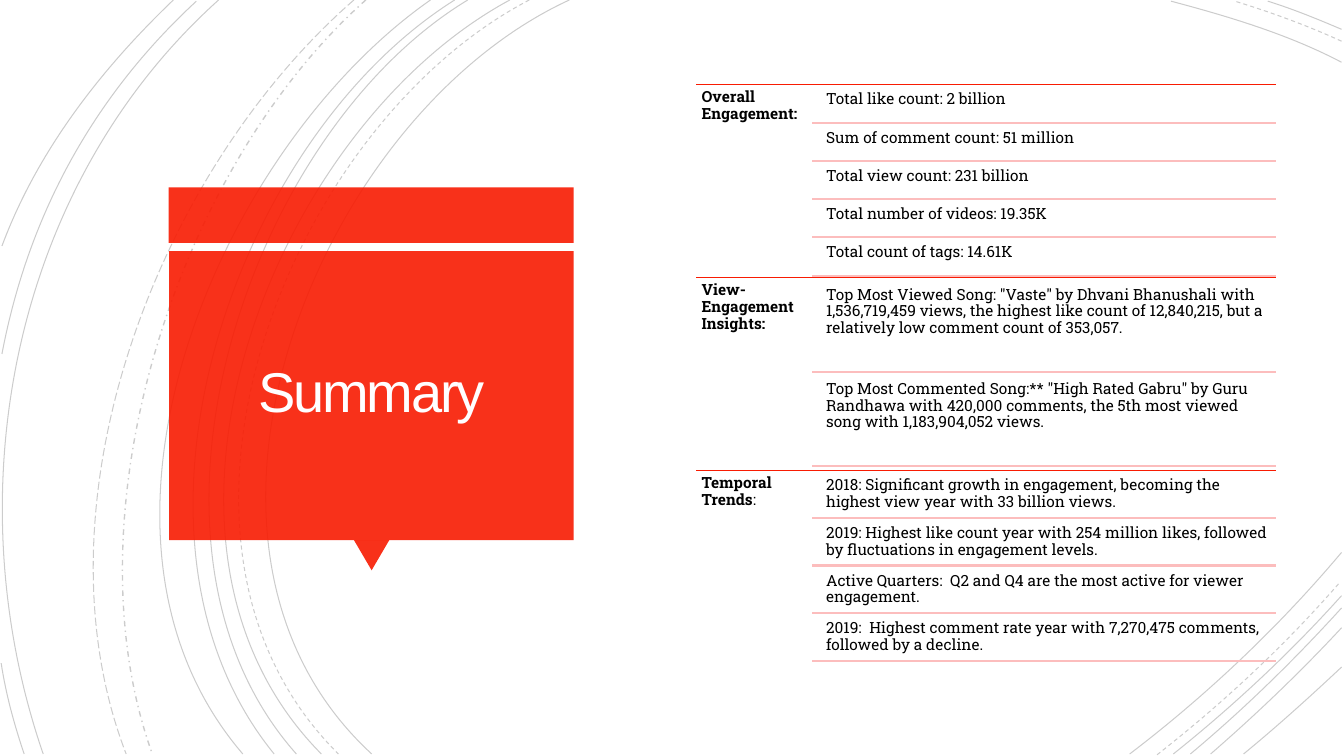
from dataclasses import dataclass

import lxml.etree
import pptx
import pptx.dml.color
import pptx.enum.dml
import pptx.enum.shapes
import pptx.enum.text
import pptx.oxml.ns
import pptx.util
from pptx.util import Cm, Pt

RED = pptx.dml.color.RGBColor(0xF8, 0x1B, 0x02)
PINK = pptx.dml.color.RGBColor(0xFC, 0xBD, 0xBD)
BLACK = pptx.dml.color.RGBColor(0x00, 0x00, 0x00)
WHITE = pptx.dml.color.RGBColor(0xFF, 0xFF, 0xFF)
OFF_WHITE = pptx.dml.color.RGBColor(0xFF, 0xFE, 0xFF)
BODY_FONT = "Roboto Slab"
TITLE_FONT = "Arial"

DASH = pptx.enum.dml.MSO_LINE.DASH
LONG_DASH = pptx.enum.dml.MSO_LINE.LONG_DASH
DASH_DOT = pptx.enum.dml.MSO_LINE.DASH_DOT
RECTANGLE = pptx.enum.shapes.MSO_SHAPE.RECTANGLE
TRIANGLE = pptx.enum.shapes.MSO_SHAPE.ISOSCELES_TRIANGLE

# Slide and summary list geometry, in centimetres
SLIDE_WIDTH, SLIDE_HEIGHT = 33.87, 19.05
LIST_LEFT, LIST_RIGHT, LIST_TOP = 17.55, 32.16, 2.13
SECTION_HEIGHT = 4.86
LABEL_WIDTH = 2.92
ROW_INDENT = 0.22
ROW_GAP = 0.05  # share of the row height


@dataclass
class Arc:
    """A cubic curve: start, two control points and end, in centimetres."""
    points: tuple[tuple[float, float], ...]
    dash: pptx.enum.dml.MSO_LINE | None = None
    weight: float = 0.75


@dataclass
class Panel:
    preset: pptx.enum.shapes.MSO_SHAPE
    left: float
    top: float
    width: float
    height: float
    rotation: float = 0
    colour: pptx.dml.color.RGBColor = RED
    opacity: int = 90


@dataclass
class Run:
    text: str
    bold: bool = False


@dataclass
class Section:
    label: list[Run]
    rows: list[str]


ARCS = [
    # Left-hand sweep
    Arc(((14.35, 0), (8, 2.92), (3.63, 13.72), (9.37, 19))),
    Arc(((13.34, 0), (7.24, 3.18), (3.12, 13.64), (8.53, 19)), DASH),
    Arc(((12.85, 0), (6.86, 3.23), (2.79, 13.64), (8.1, 19))),
    Arc(((11.79, 0), (6.2, 3.38), (2.79, 13.74), (7.47, 19))),
    Arc(((11.46, 0), (5.87, 3.51), (2.46, 13.54), (6.91, 19))),
    Arc(((10.85, 0), (5.51, 3.73), (1.35, 13.44), (6.12, 19))),
    Arc(((9.22, 0), (4.47, 4.22), (1.65, 12.93), (3.84, 19)), DASH_DOT, 1),
    Arc(((8.92, 0), (3.99, 4.29), (0.74, 12.67), (3.18, 19)), LONG_DASH),
    Arc(((5.51, 0), (0.28, 4.7), (-1.17, 12.45), (1.09, 19))),
    Arc(((4.95, 0.03), (2.34, 2.44), (0.71, 5.44), (0.05, 8.92))),
    Arc(((0.03, 16.71), (0.15, 17.5), (0.36, 18.26), (0.61, 19))),
    Arc(((4.37, 0), (2.54, 1.75), (0.94, 3.81), (0.05, 6.2))),
    # Top right corner
    Arc(((33.81, 1.57), (32.46, 0.86), (30.94, 0.41), (29.51, 0.03))),
    Arc(((33.81, 1.04), (32.94, 0.64), (32, 0.3), (31.12, 0.03)), DASH),
    Arc(((33.81, 0.74), (33.2, 0.48), (32.59, 0.23), (31.95, 0.03))),
    # Bottom right corner
    Arc(((28.47, 19), (30.4, 17.53), (32.23, 15.8), (33.81, 13.92))),
    Arc(((29.16, 19.02), (30.81, 17.73), (32.39, 16.26), (33.78, 14.66)), DASH),
    Arc(((29.57, 19), (31.06, 17.81), (32.51, 16.46), (33.81, 15.01))),
    Arc(((30, 19), (31.34, 17.88), (32.61, 16.64), (33.81, 15.32))),
    Arc(((30.51, 19), (31.65, 18.01), (32.77, 16.94), (33.81, 15.82))),
    Arc(((31.34, 19), (32.18, 18.31), (32.99, 17.58), (33.81, 16.81))),
]

BACKDROP = Panel(RECTANGLE, 0, 0, SLIDE_WIDTH, SLIDE_HEIGHT, colour=WHITE, opacity=100)
TITLE_PANELS = [
    Panel(RECTANGLE, 4.25, 4.72, 10.21, 1.4),
    Panel(TRIANGLE, 8.92, 13.61, 0.89, 0.76, rotation=180),
    Panel(RECTANGLE, 4.26, 6.33, 10.2, 7.28),
]

SECTIONS = [
    Section([Run("Overall Engagement:", True)], [
        "Total like count: 2 billion",
        "Sum of comment count: 51 million",
        "Total view count: 231 billion",
        "Total number of videos: 19.35K",
        "Total count of tags: 14.61K",
    ]),
    Section([Run("View-Engagement Insights:", True)], [
        'Top Most Viewed Song: "Vaste" by Dhvani Bhanushali with 1,536,719,459 views, '
        "the highest like count of 12,840,215, but a relatively low comment count of 353,057.",
        'Top Most Commented Song:** "High Rated Gabru" by Guru Randhawa with 420,000 '
        "comments, the 5th most viewed song with 1,183,904,052 views.",
    ]),
    Section([Run("Temporal Trends", True), Run(":")], [
        "2018: Significant growth in engagement, becoming the highest view year "
        "with 33 billion views.",
        "2019: Highest like count year with 254 million likes, followed by "
        "fluctuations in engagement levels.",
        "Active Quarters:  Q2 and Q4 are the most active for viewer engagement.",
        "2019:  Highest comment rate year with 7,270,475 comments, followed by a decline.",
    ]),
]


def set_opacity(element, percent: int) -> None:
    colour = next(element.iter(pptx.oxml.ns.qn("a:srgbClr")))
    alpha = lxml.etree.SubElement(colour, pptx.oxml.ns.qn("a:alpha"))
    alpha.set("val", str(percent * 1000))


def draw_arc(slide, arc: Arc) -> None:
    start, *rest = [(Cm(x), Cm(y)) for x, y in arc.points]
    builder = slide.shapes.build_freeform(*start)
    builder.add_line_segments(rest, close=False)
    curve = builder.convert_to_shape()
    # Turn the three straight segments into one cubic curve
    segments = list(curve.element.iter(pptx.oxml.ns.qn("a:lnTo")))
    outline = segments[0].getparent()
    cubic = lxml.etree.SubElement(outline, pptx.oxml.ns.qn("a:cubicBezTo"))
    for segment in segments:
        cubic.append(segment[0])
        outline.remove(segment)
    curve.shadow.inherit = False
    curve.fill.background()
    curve.line.width = Pt(arc.weight)
    curve.line.color.rgb = BLACK
    set_opacity(curve.element.spPr, 20)
    if arc.dash is not None:
        curve.line.dash_style = arc.dash


def draw_panel(slide, panel: Panel) -> None:
    block = slide.shapes.add_shape(
        panel.preset, Cm(panel.left), Cm(panel.top), Cm(panel.width), Cm(panel.height))
    block.rotation = panel.rotation
    block.shadow.inherit = False
    block.fill.solid()
    block.fill.fore_color.rgb = panel.colour
    set_opacity(block.element.spPr, panel.opacity)
    block.line.fill.background()


def draw_rule(slide, left: float, y: float, colour: pptx.dml.color.RGBColor,
              weight: float) -> None:
    rule = slide.shapes.add_connector(
        pptx.enum.shapes.MSO_CONNECTOR.STRAIGHT, Cm(left), Cm(y), Cm(LIST_RIGHT), Cm(y))
    rule.line.color.rgb = colour
    rule.line.width = Pt(weight)
    lxml.etree.SubElement(rule.element.spPr, pptx.oxml.ns.qn("a:effectLst"))


def set_insets(frame, inset: float) -> None:
    frame.margin_left = frame.margin_right = Cm(inset)
    frame.margin_top = frame.margin_bottom = Cm(inset)
    frame.word_wrap = True
    frame.auto_size = pptx.enum.text.MSO_AUTO_SIZE.NONE


def write_runs(paragraph, runs: list[Run], font: str, size: float,
               colour: pptx.dml.color.RGBColor) -> None:
    for part in runs:
        run = paragraph.add_run()
        run.text = part.text
        run.font.name = font
        run.font.size = Pt(size)
        run.font.bold = part.bold
        run.font.color.rgb = colour


def draw_text(slide, left: float, top: float, width: float, height: float,
              runs: list[Run]) -> None:
    frame = slide.shapes.add_textbox(Cm(left), Cm(top), Cm(width), Cm(height)).text_frame
    set_insets(frame, 0.13)
    frame.paragraphs[0].line_spacing = 0.9
    write_runs(frame.paragraphs[0], runs, BODY_FONT, 11, BLACK)


def draw_section(slide, section: Section, top: float) -> None:
    draw_rule(slide, LIST_LEFT, top, RED, 1)
    draw_text(slide, LIST_LEFT, top, LABEL_WIDTH, SECTION_HEIGHT, section.label)
    count = len(section.rows)
    row_height = SECTION_HEIGHT / (count + (count + 1) * ROW_GAP)
    gap = row_height * ROW_GAP
    rows_left = LIST_LEFT + LABEL_WIDTH
    text_left = rows_left + ROW_INDENT
    for index, row in enumerate(section.rows):
        row_top = top + gap + index * (row_height + gap)
        draw_text(slide, text_left, row_top, LIST_RIGHT - text_left, row_height, [Run(row)])
        draw_rule(slide, rows_left, row_top + row_height, PINK, 1.5)


def place_title(slide) -> None:
    title = slide.shapes.title
    title.element.getparent().append(title.element)  # bring in front of the panels
    title.left, title.top, title.width, title.height = Cm(4.5), Cm(6.55), Cm(9.73), Cm(6.81)
    frame = title.text_frame
    set_insets(frame, 0.64)
    frame.vertical_anchor = pptx.enum.text.MSO_ANCHOR.MIDDLE
    heading = frame.paragraphs[0]
    heading.alignment = pptx.enum.text.PP_ALIGN.CENTER
    heading.line_spacing = 0.85
    write_runs(heading, [Run("Summary")], TITLE_FONT, 40, OFF_WHITE)
    next(title.element.iter(pptx.oxml.ns.qn("a:rPr"))).set("spc", "-150")


def main() -> None:
    deck = pptx.Presentation()
    deck.slide_width, deck.slide_height = Cm(SLIDE_WIDTH), Cm(SLIDE_HEIGHT)
    slide = deck.slides.add_slide(deck.slide_layouts[5])
    draw_panel(slide, BACKDROP)
    for arc in ARCS:
        draw_arc(slide, arc)
    for panel in TITLE_PANELS:
        draw_panel(slide, panel)
    place_title(slide)
    for index, section in enumerate(SECTIONS):
        draw_section(slide, section, LIST_TOP + index * SECTION_HEIGHT)
    deck.save("out.pptx")


if __name__ == "__main__":
    main()
